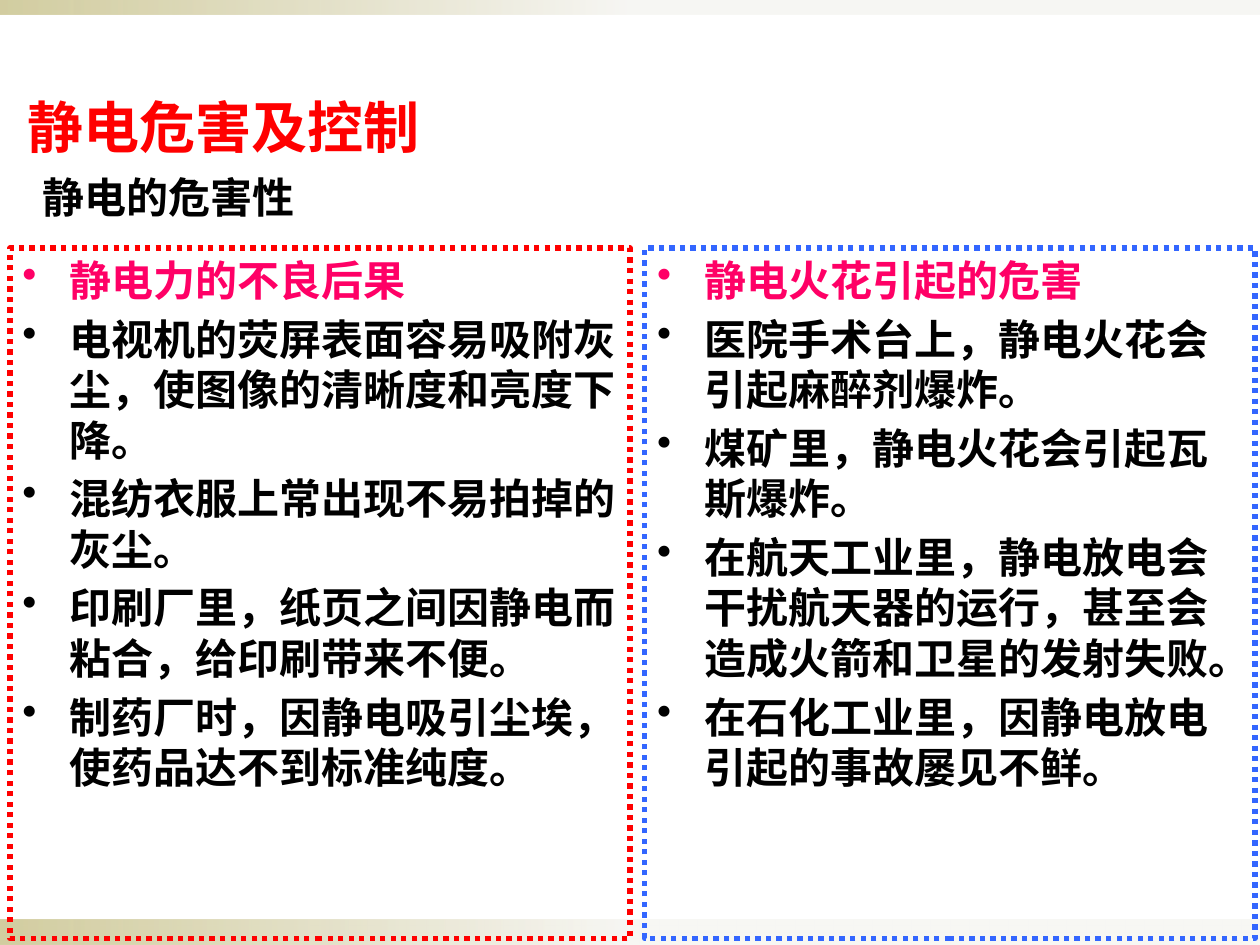
from dataclasses import dataclass

from lxml.etree import SubElement
from pptx import Presentation
from pptx.dml.color import RGBColor
from pptx.enum.dml import MSO_LINE
from pptx.enum.shapes import MSO_SHAPE
from pptx.enum.text import MSO_ANCHOR, PP_ALIGN
from pptx.oxml import parse_xml
from pptx.oxml.ns import nsdecls, qn
from pptx.util import Cm, Pt


@dataclass(frozen=True)
class Theme:
    red: str = "FF0000"
    blue: str = "3366FF"
    pink: str = "FF0066"
    black: str = "000000"
    band_start: str = "918415"
    band_end: str = "EEEDE7"
    title_size: float = 32
    body_size: float = 24
    paragraph_gap: float = 4.8
    border_width: float = 3
    title_font: str = "Times New Roman"
    body_font: str = "Noto Sans CJK SC"


@dataclass(frozen=True)
class Box:
    left: float
    top: float
    width: float
    height: float

    def lengths(self) -> tuple:
        return Cm(self.left), Cm(self.top), Cm(self.width), Cm(self.height)


@dataclass(frozen=True)
class Column:
    box: Box
    border: str
    heading: str
    points: tuple[str, ...]


THEME = Theme()
SLIDE_WIDTH, SLIDE_HEIGHT = 25.4, 19.05
INDENT = 0.95

BANDS = (Box(0, 18.54, SLIDE_WIDTH, 0.51), Box(0, 0, SLIDE_WIDTH, 0.3))
TITLE_BOX = Box(0.3, 1.73, 12.78, 1.6)
SUBTITLE_BOX = Box(0.61, 3.33, 8.41, 1.27)

COLUMNS = (
    Column(Box(0.2, 5, 12.5, 13.92), THEME.red, "静电力的不良后果", (
        "电视机的荧屏表面容易吸附灰尘，使图像的清晰度和亮度下降。",
        "混纺衣服上常出现不易拍掉的灰尘。",
        "印刷厂里，纸页之间因静电而粘合，给印刷带来不便。",
        "制药厂时，因静电吸引尘埃，使药品达不到标准纯度。",
    )),
    Column(Box(13, 5, 12.3, 13.92), THEME.blue, "静电火花引起的危害", (
        "医院手术台上，静电火花会引起麻醉剂爆炸。",
        "煤矿里，静电火花会引起瓦斯爆炸。",
        "在航天工业里，静电放电会干扰航天器的运行，甚至会造成火箭和卫星的发射失败。",
        "在石化工业里，因静电放电引起的事故屡见不鲜。",
    )),
)


def add_text(paragraph, text: str, color: str, size: float = THEME.body_size,
             font_name: str = THEME.body_font) -> None:
    paragraph.alignment = PP_ALIGN.LEFT
    run = paragraph.add_run()
    run.text = text
    font = run.font
    font.name, font.size, font.bold = font_name, Pt(size), True
    font.color.rgb = RGBColor.from_string(color)
    # Chinese glyphs use the East Asian typeface slot
    SubElement(font._element, qn("a:ea")).set("typeface", THEME.body_font)


def prepare_frame(frame) -> None:
    frame.word_wrap = True
    frame.vertical_anchor = MSO_ANCHOR.TOP
    frame.margin_left = frame.margin_right = Cm(0.25)
    frame.margin_top = frame.margin_bottom = Cm(0.13)


def add_rectangle(slide, box: Box):
    shape = slide.shapes.add_shape(MSO_SHAPE.RECTANGLE, *box.lengths())
    shape.shadow.inherit = False
    return shape


def add_band(slide, box: Box) -> None:
    shape = add_rectangle(slide, box)
    shape.line.fill.background()
    gradient = parse_xml(
        f'<a:gradFill {nsdecls("a")}><a:gsLst>'
        f'<a:gs pos="0"><a:srgbClr val="{THEME.band_start}"><a:alpha val="40000"/></a:srgbClr></a:gs>'
        f'<a:gs pos="50000"><a:srgbClr val="{THEME.band_end}"><a:alpha val="45000"/></a:srgbClr></a:gs>'
        '</a:gsLst><a:lin ang="0"/></a:gradFill>'
    )
    shape._element.spPr.find(qn("a:prstGeom")).addnext(gradient)


def add_title(slide, text: str) -> None:
    title = slide.shapes.title
    title.left, title.top, title.width, title.height = TITLE_BOX.lengths()
    prepare_frame(title.text_frame)
    add_text(title.text_frame.paragraphs[0], text, THEME.red, THEME.title_size, THEME.title_font)


def add_subtitle(slide, text: str) -> None:
    text_box = slide.shapes.add_textbox(*SUBTITLE_BOX.lengths())
    prepare_frame(text_box.text_frame)
    add_text(text_box.text_frame.paragraphs[0], text, THEME.black)


def format_bullet(paragraph) -> None:
    properties = paragraph._p.get_or_add_pPr()
    properties.set("marL", str(Cm(INDENT)))
    properties.set("indent", str(-Cm(INDENT)))
    SubElement(properties, qn("a:buChar")).set("char", "•")


def add_column(slide, column: Column) -> None:
    shape = add_rectangle(slide, column.box)
    shape.fill.background()
    shape.line.color.rgb = RGBColor.from_string(column.border)
    shape.line.width = Pt(THEME.border_width)
    shape.line.dash_style = MSO_LINE.ROUND_DOT

    frame = shape.text_frame
    prepare_frame(frame)
    heading = frame.paragraphs[0]
    format_bullet(heading)
    add_text(heading, column.heading, THEME.pink)
    for point in column.points:
        paragraph = frame.add_paragraph()
        format_bullet(paragraph)
        paragraph.space_before = Pt(THEME.paragraph_gap)
        add_text(paragraph, point, THEME.black)


def main() -> None:
    presentation = Presentation()
    presentation.slide_width, presentation.slide_height = Cm(SLIDE_WIDTH), Cm(SLIDE_HEIGHT)
    slide = presentation.slides.add_slide(presentation.slide_layouts[5])

    # Decorative bands
    for band in BANDS:
        add_band(slide, band)

    # Headings
    add_title(slide, "静电危害及控制")
    add_subtitle(slide, "静电的危害性")

    # Two framed lists
    for column in COLUMNS:
        add_column(slide, column)

    presentation.save("out.pptx")


if __name__ == "__main__":
    main()
